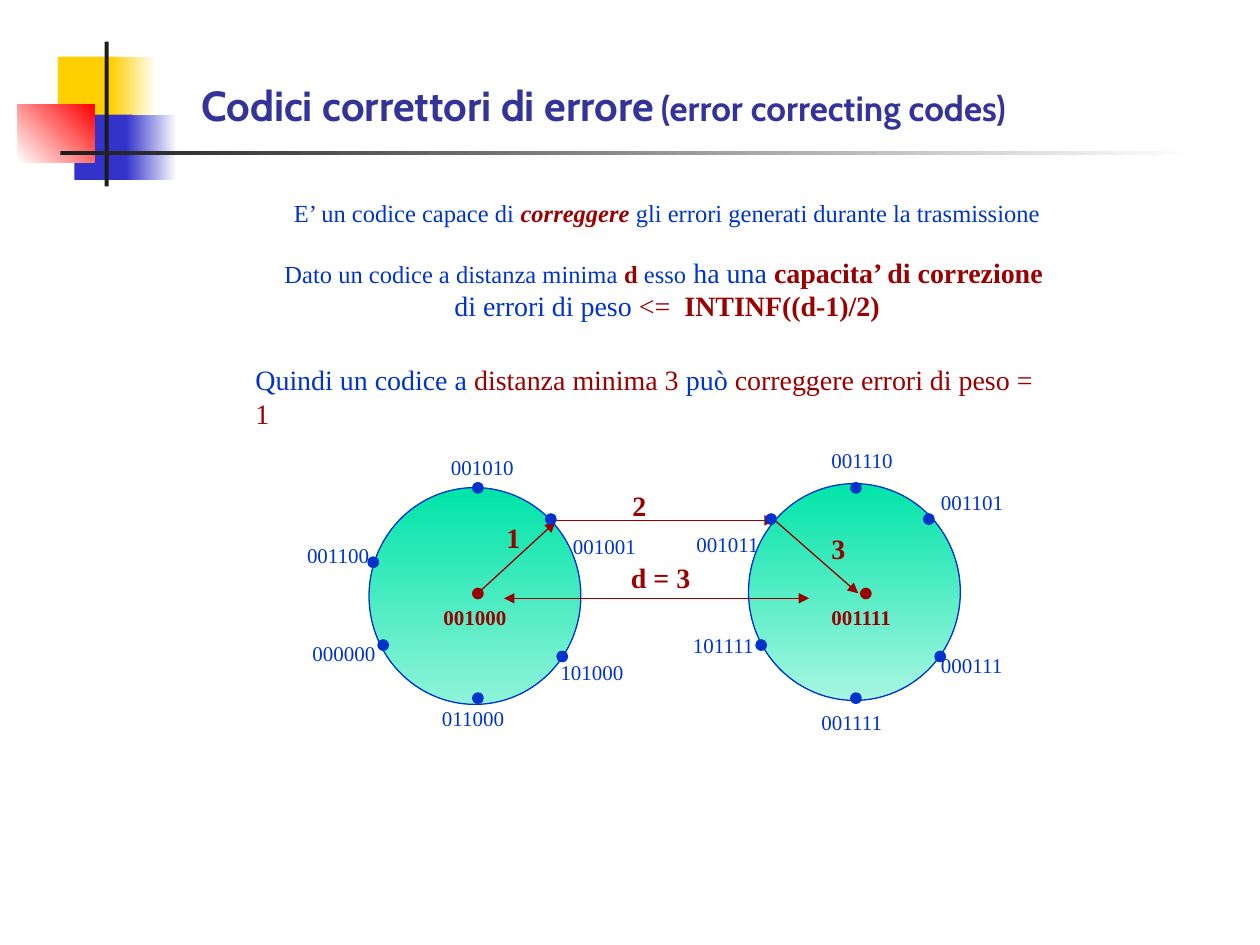
from typing import NamedTuple

import lxml.etree
import pptx
import pptx.dml.color
import pptx.enum.shapes
import pptx.enum.text
import pptx.oxml.ns
import pptx.util

Cm, Pt = pptx.util.Cm, pptx.util.Pt
Kind = pptx.enum.shapes.MSO_SHAPE
Align = pptx.enum.text.PP_ALIGN

HUES = {
    "gold": "FFCF01", "white": "FFFFFF", "navy": "3333CC", "red": "FF0000",
    "black": "1C1C1C", "title": "333399", "blue": "0033CC", "dark": "990000",
    "green": "00E4A8", "mint": "8FF3D9", "pale": "A9F6E2",
}
SERIF = "Times New Roman"
DOT = 0.21  # dot diameter
STEP = 7.62  # from the left circle's dots to the right one's


class Form(NamedTuple):
    """A filled shape; a second hue makes a gradient at the given angle."""
    x: float
    y: float
    w: float
    h: float
    hues: tuple[str, ...]
    turn: int = 0
    kind: int = Kind.RECTANGLE
    edge: str = ""


class Run(NamedTuple):
    text: str
    hue: str = "blue"
    size: int = 16
    bold: bool = False
    slant: bool = False
    face: str = SERIF


class Line(NamedTuple):
    text: tuple[Run, ...]
    align: int = Align.LEFT
    gap: int = 0


class Note(NamedTuple):
    x: float
    y: float
    w: float
    h: float
    lines: tuple[Line, ...]


class Arrow(NamedTuple):
    x: float
    y: float
    to_x: float
    to_y: float
    ends: tuple[str, ...] = ("tailEnd",)


def tint(name: str) -> pptx.dml.color.RGBColor:
    return pptx.dml.color.RGBColor.from_string(HUES[name])


def draw_form(slide, form: Form) -> None:
    shape = slide.shapes.add_shape(form.kind, *map(Cm, form[:4]))
    shape.shadow.inherit = False
    if len(form.hues) == 1:
        shape.fill.solid()
        shape.fill.fore_color.rgb = tint(form.hues[0])
    else:
        shape.fill.gradient()
        shape.fill.gradient_angle = form.turn
        for spot, (stop, hue) in enumerate(zip(shape.fill.gradient_stops, form.hues)):
            stop.position = spot
            stop.color.rgb = tint(hue)
    if form.edge:
        shape.line.color.rgb = tint(form.edge)
        shape.line.width = Pt(0.75)
    else:
        shape.line.fill.background()


def draw_note(slide, note: Note, **frame) -> None:
    box = slide.shapes.add_textbox(*map(Cm, note[:4])).text_frame
    form = {"word_wrap": False,
            "auto_size": pptx.enum.text.MSO_AUTO_SIZE.SHAPE_TO_FIT_TEXT} | frame
    for key, value in form.items():
        setattr(box, key, value)
    for spot, line in enumerate(note.lines):
        para = box.add_paragraph() if spot else box.paragraphs[0]
        para.alignment = line.align
        if line.gap:
            para.space_before = Pt(line.gap)
        for part in line.text:
            run = para.add_run()
            run.text = part.text
            look = {"name": part.face, "size": Pt(part.size),
                    "bold": part.bold, "italic": part.slant}
            for key, value in look.items():
                setattr(run.font, key, value)
            run.font.color.rgb = tint(part.hue)


def draw_arrow(slide, arrow: Arrow) -> None:
    line = slide.shapes.add_connector(
        pptx.enum.shapes.MSO_CONNECTOR.STRAIGHT, *map(Cm, arrow[:4]))
    line.line.color.rgb = tint("dark")
    line.line.width = Pt(0.75)
    props, qn = line.element.spPr, pptx.oxml.ns.qn
    for end in arrow.ends:
        lxml.etree.SubElement(props.find(qn("a:ln")), qn(f"a:{end}"), type="triangle")
    lxml.etree.SubElement(props, qn("a:effectLst"))


def draw_dot(slide, x: float, y: float, hue: str) -> None:
    draw_form(slide, Form(x, y, DOT, DOT, (hue,), kind=Kind.OVAL, edge=hue))


# Corner blocks and rules
DECOR = [
    Form(1.17, 1.14, 1.22, 1.32, ("gold",)),
    Form(2.24, 1.14, 0.91, 1.32, ("gold", "white")),
    Form(1.5, 2.31, 1.17, 1.32, ("navy",)),
    Form(2.54, 2.31, 1.02, 1.32, ("navy", "white")),
    Form(0.36, 2.11, 1.55, 1.17, ("white", "red"), 45),
    Form(2.11, 0.84, 0.08, 2.92, ("black",)),
    Form(1.22, 3.05, 22.86, 0.08, ("black", "white")),
]

# Heading and body text
HEAD = Note(3.81, 0.84, 21.59, 1.9, (Line((
    Run("Codici correttori di errore", "title", 24, True, face="Cabin"),
    Run(" ", "title", 18, True, face="Cabin"),
    Run("(error correcting codes)", "title", 20, True, face="Cabin"))),))
BODY = [
    Note(5.46, 3.86, 15.98, 2.79, (
        Line((Run("E’ un codice capace di ", size=14),
              Run("correggere", "dark", 14, True, True),
              Run(" gli errori generati durante la trasmissione", size=14)),
             Align.CENTER),
        Line((Run("Dato un codice a distanza minima ", size=14),
              Run("d", "dark", 14, True), Run(" esso", size=14), Run(" ha una "),
              Run("capacita’ di correzione ", "dark", bold=True)),
             Align.CENTER, 16),
        Line((Run("di errori di peso "), Run("<=  ", "dark"),
              Run("INTINF((d-1)/2)", "dark", bold=True)), Align.CENTER))),
    Note(4.9, 7.19, 16.59, 0.94, (Line((
        Run("Quindi un codice a "), Run("distanza minima 3", "dark"),
        Run(" può "), Run("correggere errori di peso = 1", "dark"))),)),
]

# Code circles, their arrows and labels
RINGS = [
    Form(7.44, 9.83, 4.27, 4.37, ("green", "mint"), 270, Kind.OVAL, "blue"),
    Form(15.09, 9.75, 4.27, 4.37, ("green", "pale"), 270, Kind.OVAL, "blue"),
]
ARROWS = [
    Arrow(9.6, 11.99, 11.2, 10.52),
    Arrow(15.62, 10.49, 17.3, 11.96),
    Arrow(11.2, 10.49, 15.62, 10.49),
    Arrow(10.16, 12.06, 16.31, 12.06, ("headEnd", "tailEnd")),
]
CORES = [("001000", 8.69, 12.06), ("001111", 16.51, 12.06)]
CODES = [
    ("001001", 11.3, 10.64), ("001011", 13.79, 10.59), ("001010", 8.84, 9.04),
    ("001100", 5.94, 10.82), ("000000", 6.05, 12.78), ("011000", 8.66, 14.1),
    ("101000", 11.05, 13.18), ("001110", 16.51, 8.89), ("001101", 18.72, 9.75),
    ("101111", 13.72, 12.62), ("001111", 16.31, 14.17), ("000111", 18.72, 13.03),
]
SPANS = [("d = 3", 12.47, 11.18, 1.7), ("1", 9.96, 10.36, 0.79),
         ("2", 12.5, 9.73, 0.79), ("3", 16.51, 10.59, 0.79)]
PAIRS = [(7.62, 12.9), (11, 10.36), (9.53, 9.73), (9.53, 13.97), (11.23, 13.13)]
LONE = [(7.42, 11.23), (15.44, 10.36)]  # dots set on one circle only
# The right circle has no twin of the upper right dot at this step
RIGHT = [(x + STEP, y) for x, y in PAIRS]
HUBS = [(9.53, 11.86), (17.35, 11.86)]


def main() -> None:
    deck = pptx.Presentation()
    deck.slide_width, deck.slide_height = Cm(25.4), Cm(19.05)
    slide = deck.slides.add_slide(deck.slide_layouts[6])

    for form in DECOR:
        draw_form(slide, form)
    draw_note(slide, HEAD, word_wrap=True,
              auto_size=pptx.enum.text.MSO_AUTO_SIZE.NONE,
              vertical_anchor=pptx.enum.text.MSO_ANCHOR.BOTTOM)
    for note in BODY:
        draw_note(slide, note)
    for ring in RINGS:
        draw_form(slide, ring)
    for arrow in ARROWS:
        draw_arrow(slide, arrow)
    for group, hue, bold in ((CORES, "dark", True), (CODES, "blue", False)):
        for text, x, y in group:
            draw_note(slide, Note(x, y, 1.78, 0.76, (Line((Run(text, hue, 12, bold),)),)))
    for text, x, y, w in SPANS:
        draw_note(slide, Note(x, y, w, 0.94, (Line((Run(text, "dark", bold=True),)),)))
    for group, hue in ((PAIRS + RIGHT + LONE, "blue"), (HUBS, "dark")):
        for x, y in group:
            draw_dot(slide, x, y, hue)

    deck.save("out.pptx")


if __name__ == "__main__":
    main()
